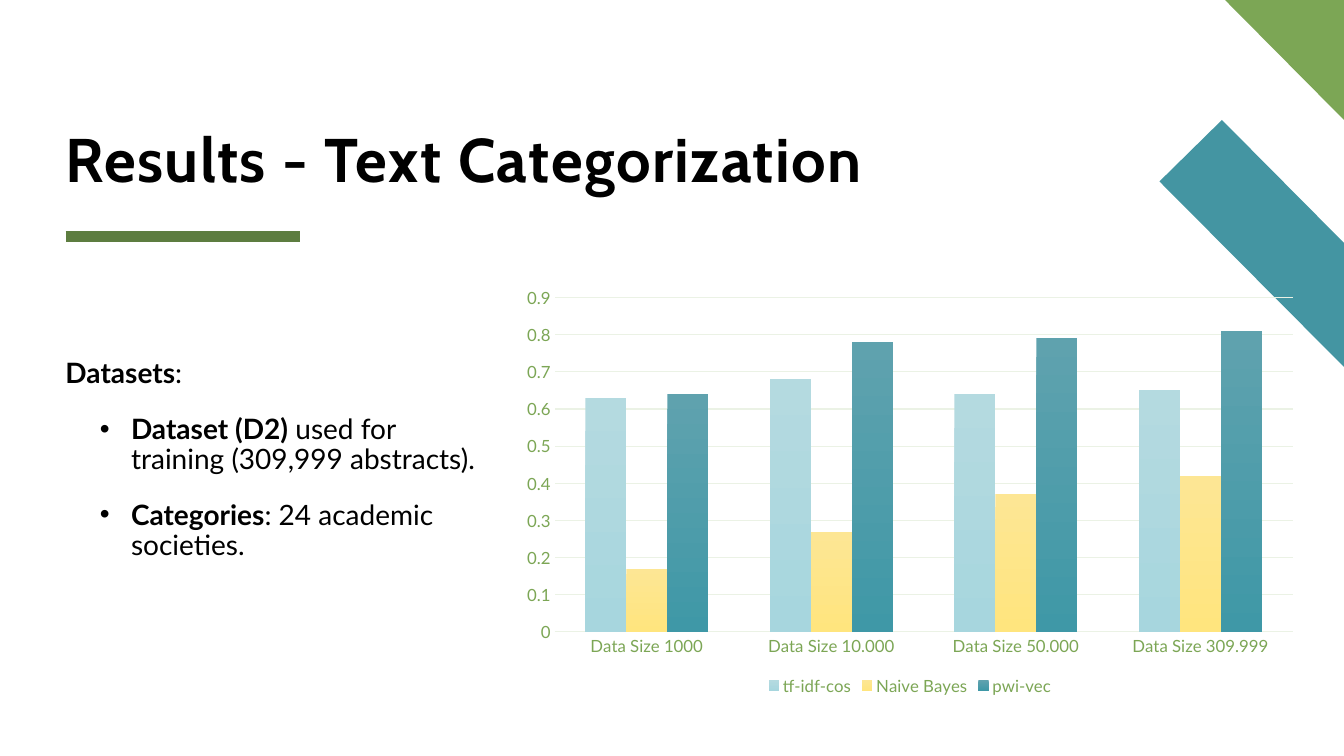
from lxml import etree
from pptx import Presentation
from pptx.chart.data import CategoryChartData
from pptx.dml.color import RGBColor
from pptx.enum.chart import XL_CHART_TYPE as ChartType
from pptx.enum.chart import XL_LEGEND_POSITION as LegendPos
from pptx.enum.chart import XL_TICK_MARK as TickMark
from pptx.enum.shapes import MSO_CONNECTOR as Connector
from pptx.enum.text import MSO_ANCHOR as Anchor
from pptx.oxml.ns import qn
from pptx.util import Inches, Pt

COLORS = {
    "text": "000000",
    "teal": "4495A2",
    "green": "7CA655",
    "rule": "5D7D40",
    "grid": "EBF2E5",
}
TEAL_BAND = [(13.33, 3.64), (13.33, 2.41), (12.12, 1.19), (11.5, 1.8)]
GREEN_CORNER = [(13.33, 1.19), (13.33, 0), (12.15, 0)]

CATEGORIES = ["Data Size 1000", "Data Size 10.000", "Data Size 50.000", "Data Size 309.999"]
# name, values, top and bottom colour of the bars
SERIES = [
    ("tf-idf-cos", (0.63, 0.68, 0.64, 0.65), ("B4DAE0", "A7D6DE")),
    ("Naive Bayes", (0.17, 0.27, 0.37, 0.42), ("FDE694", "FFE57E")),
    ("pwi-vec", (0.64, 0.78, 0.79, 0.81), ("5FA2AE", "3F98A7")),
]


def rgb(name):
    return RGBColor.from_string(COLORS[name])


def add_polygon(slide, points, color):
    corners = [(Inches(x), Inches(y)) for x, y in points]
    builder = slide.shapes.build_freeform(*corners[0], scale=1.0)
    builder.add_line_segments(corners[1:], close=True)
    sp = builder.convert_to_shape()
    sp.shadow.inherit = False
    sp.fill.solid()
    sp.fill.fore_color.rgb = rgb(color)
    sp.line.fill.background()


def add_rule(slide, x1, x2, y, color, width):
    line = slide.shapes.add_connector(Connector.STRAIGHT, Inches(x1), Inches(y), Inches(x2), Inches(y))
    line.line.color.rgb = rgb(color)
    line.line.width = Pt(width)
    etree.SubElement(line._element.spPr, qn("a:effectLst"))


def add_box(slide, left, top, width, height, anchor=Anchor.TOP, inset_top=0):
    tf = slide.shapes.add_textbox(Inches(left), Inches(top), Inches(width), Inches(height)).text_frame
    tf.word_wrap = True
    tf.vertical_anchor = anchor
    tf.margin_left = tf.margin_right = tf.margin_bottom = 0
    tf.margin_top = Inches(inset_top)
    return tf


def write(p, text, size=20, font="Lato", color="text", bold=False, tracking=0):
    r = p.add_run()
    r.text = text
    r.font.size = Pt(size)
    r.font.name = font
    r.font.bold = bold
    r.font.color.rgb = rgb(color)
    if tracking:
        r._r.get_or_add_rPr().set("spc", str(tracking * 100))


def make_bullet(p, left=0.65, hanging=0.31):
    pPr = p._p.get_or_add_pPr()
    pPr.set("lvl", "1")
    pPr.set("marL", str(Inches(left)))
    pPr.set("indent", str(-Inches(hanging)))
    etree.SubElement(pPr, qn("a:buFont")).set("typeface", "Arial")
    etree.SubElement(pPr, qn("a:buChar")).set("char", "•")


def add_title(slide, text):
    tf = add_box(slide, 0.65, 0.3, 10.69, 1.63, anchor=Anchor.BOTTOM)
    p = tf.paragraphs[0]
    p.line_spacing = 0.8
    write(p, text, size=44, font="Cabin", bold=True, tracking=1)


def add_datasets(slide):
    lines = [
        ("Datasets", ":", False),
        ("Dataset (D2)", " used for training (309,999 abstracts).", True),
        ("Categories", ": 24 academic societies.", True),
    ]
    tf = add_box(slide, 0.65, 3.52, 4.07, 2.17, inset_top=0.05)
    for i, (term, rest, bulleted) in enumerate(lines):
        p = tf.add_paragraph() if i else tf.paragraphs[0]
        p.line_spacing = 0.9
        p.space_before = Pt(18)
        if bulleted:
            make_bullet(p)
        write(p, term, bold=True)
        write(p, rest)


def style_font(font):
    font.size = Pt(12)
    font.name = "Lato"
    font.color.rgb = rgb("green")


def style_line(line):
    line.color.rgb = rgb("grid")
    line.width = Pt(0.75)


def add_results_chart(slide):
    data = CategoryChartData()
    data.categories = CATEGORIES
    for name, values, _ in SERIES:
        data.add_series(name, values)
    chart = slide.shapes.add_chart(
        ChartType.COLUMN_CLUSTERED, Inches(5.07), Inches(2.77), Inches(7.91), Inches(4.17), data
    ).chart
    style_font(chart.font)
    chart.has_title = False
    chart.has_legend = True
    chart.legend.position = LegendPos.BOTTOM
    chart.legend.include_in_layout = False
    style_font(chart.legend.font)

    cat_axis, val_axis = chart.category_axis, chart.value_axis
    for axis in (cat_axis, val_axis):
        axis.major_tick_mark = axis.minor_tick_mark = TickMark.NONE
        style_font(axis.tick_labels.font)
    style_line(cat_axis.format.line)
    val_axis.format.line.fill.background()
    val_axis.minimum_scale, val_axis.maximum_scale, val_axis.major_unit = 0, 0.9, 0.1
    style_line(val_axis.major_gridlines.format.line)

    plot = chart.plots[0]
    plot.gap_width = 150
    plot.overlap = 0
    plot.vary_by_categories = False
    for series, (_, _, shades) in zip(plot.series, SERIES):
        fill = series.format.fill
        fill.gradient()
        fill.gradient_angle = 270
        for stop, shade in zip(fill.gradient_stops, shades):
            stop.color.rgb = RGBColor.from_string(shade)


def main():
    prs = Presentation()
    prs.slide_width, prs.slide_height = Inches(13.33), Inches(7.5)
    slide = prs.slides.add_slide(prs.slide_layouts[6])
    add_polygon(slide, TEAL_BAND, "teal")
    add_polygon(slide, GREEN_CORNER, "green")
    add_rule(slide, 0.65, 2.98, 2.35, "rule", 8)
    add_title(slide, "Results - Text Categorization")
    add_datasets(slide)
    add_results_chart(slide)
    prs.save("out.pptx")


if __name__ == "__main__":
    main()
